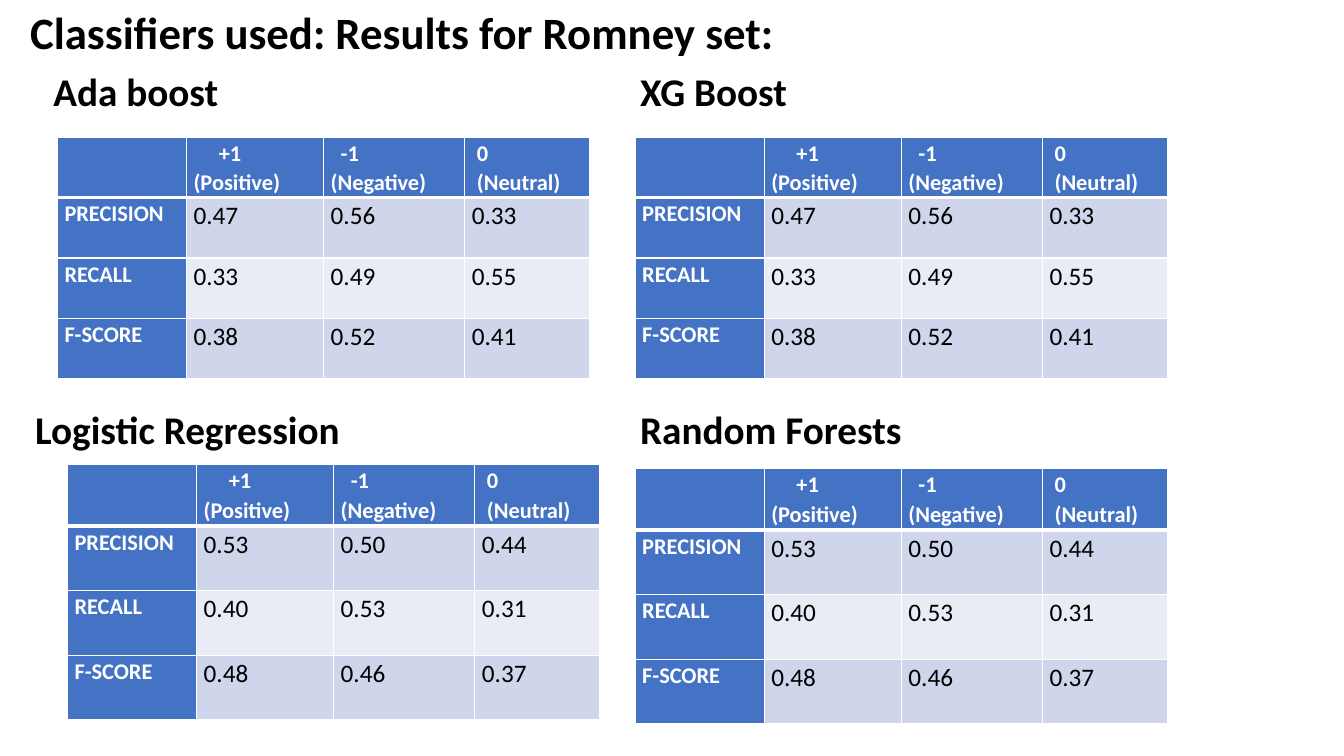
from lxml import etree
from pptx import Presentation
from pptx.dml.color import RGBColor
from pptx.enum.text import MSO_ANCHOR
from pptx.oxml.ns import qn
from pptx.util import Inches, Pt

MIDDLE = MSO_ANCHOR.MIDDLE
FONT = "Calibri"
COLORS = {"head": "4472C4", "odd": "CFD5EA", "even": "E9EBF5",
          "white": "FFFFFF", "black": "000000"}
COL_WIDTHS = (1.28, 1.36, 1.4, 1.24)
HEADERS = ("", "+1\v(Positive)", "-1\v(Negative)", "0\v(Neutral)")
HEADER_INDENTS = ((0, 0), (0, 0.25), (0, 0.1), (0.05, 0))
MEASURES = ("PRECISION", "RECALL", "F-SCORE")
BOOST_SCORES = (("0.47", "0.56", "0.33"), ("0.33", "0.49", "0.55"), ("0.38", "0.52", "0.41"))
OTHER_SCORES = (("0.53", "0.50", "0.44"), ("0.40", "0.53", "0.31"), ("0.48", "0.46", "0.37"))
CLASSIFIERS = (
    ("Ada boost", (0.53, 0.68), (0.57, 1.36), (0.6, 0.6), BOOST_SCORES),
    ("XG Boost", (6.35, 0.68), (6.3, 1.36), (0.6, 0.6), BOOST_SCORES),
    ("Logistic Regression", (0.35, 4.03), (0.67, 4.61), (0.61, 0.64), OTHER_SCORES),
    ("Random Forests", (6.35, 4.03), (6.3, 4.65), (0.61, 0.64), OTHER_SCORES),
)


def style(p, size, color, bold):
    """Set the font of a whole paragraph."""
    p.font.name = FONT
    p.font.size = Pt(size)
    p.font.bold = bold
    p.font.color.rgb = RGBColor.from_string(COLORS[color])


def add_heading(s, text, x, y, w, h, size):
    """Place a bold line of text in the given box."""
    tf = s.shapes.add_textbox(Inches(x), Inches(y), Inches(w), Inches(h)).text_frame
    tf.word_wrap = True
    tf.vertical_anchor = MIDDLE
    tf.margin_left = tf.margin_right = tf.margin_top = tf.margin_bottom = 0
    p = tf.paragraphs[0]
    p.text = text
    p.line_spacing = 0.9
    style(p, size, "black", True)


def add_borders(cell, top, bottom):
    """Draw white cell borders with the given top and bottom widths in points."""
    tcPr = cell._tc.get_or_add_tcPr()
    for tag, width in (("a:lnL", 1), ("a:lnR", 1), ("a:lnT", top), ("a:lnB", bottom)):
        ln = etree.SubElement(tcPr, qn(tag), w=str(Pt(width)))
        fill = etree.SubElement(ln, qn("a:solidFill"))
        etree.SubElement(fill, qn("a:srgbClr"), val=COLORS["white"])


def fill_cell(cell, text, row, col):
    """Write and format one cell according to its row and column."""
    label = row == 0 or col == 0
    add_borders(cell, 3 if row == 1 else 1, 3 if row == 0 else 1)
    cell.fill.solid()
    fill = "head" if label else "odd" if row % 2 else "even"
    cell.fill.fore_color.rgb = RGBColor.from_string(COLORS[fill])
    cell.margin_left = cell.margin_right = Inches(0.07)
    cell.margin_top, cell.margin_bottom = Inches(0.01), 0
    p = cell.text_frame.paragraphs[0]
    p.text = text
    p.line_spacing = 1.07
    style(p, 16 if label else 18, "white" if label else "black", label)
    if row == 0:
        left, first = HEADER_INDENTS[col]
        pPr = p._p.get_or_add_pPr()
        pPr.set("marL", str(Inches(left)))
        pPr.set("indent", str(Inches(first)))


def add_scores(s, scores, x, y, head_h, row_h):
    """Place a table of scores with its top left corner at x, y."""
    rows = [HEADERS] + [(name, *values) for name, values in zip(MEASURES, scores)]
    heights = [head_h] + [row_h] * len(MEASURES)
    table = s.shapes.add_table(len(rows), len(HEADERS), Inches(x), Inches(y),
                               Inches(sum(COL_WIDTHS)), Inches(sum(heights))).table
    for column, width in zip(table.columns, COL_WIDTHS):
        column.width = Inches(width)
    for r, (texts, height) in enumerate(zip(rows, heights)):
        table.rows[r].height = Inches(height)
        for c, text in enumerate(texts):
            fill_cell(table.cell(r, c), text, r, c)


def main():
    """Build the slide and save it."""
    prs = Presentation()
    prs.slide_width, prs.slide_height = Inches(13.33), Inches(7.5)
    s = prs.slides.add_slide(prs.slide_layouts[6])
    add_heading(s, "Classifiers used: Results for Romney set:", 0.3, 0.05, 12, 0.6, 32)
    for name, heading_at, table_at, heights, scores in CLASSIFIERS:
        add_heading(s, name, *heading_at, 5.2, 0.5, 28)
        add_scores(s, scores, *table_at, *heights)
    prs.save("out.pptx")


if __name__ == "__main__":
    main()
